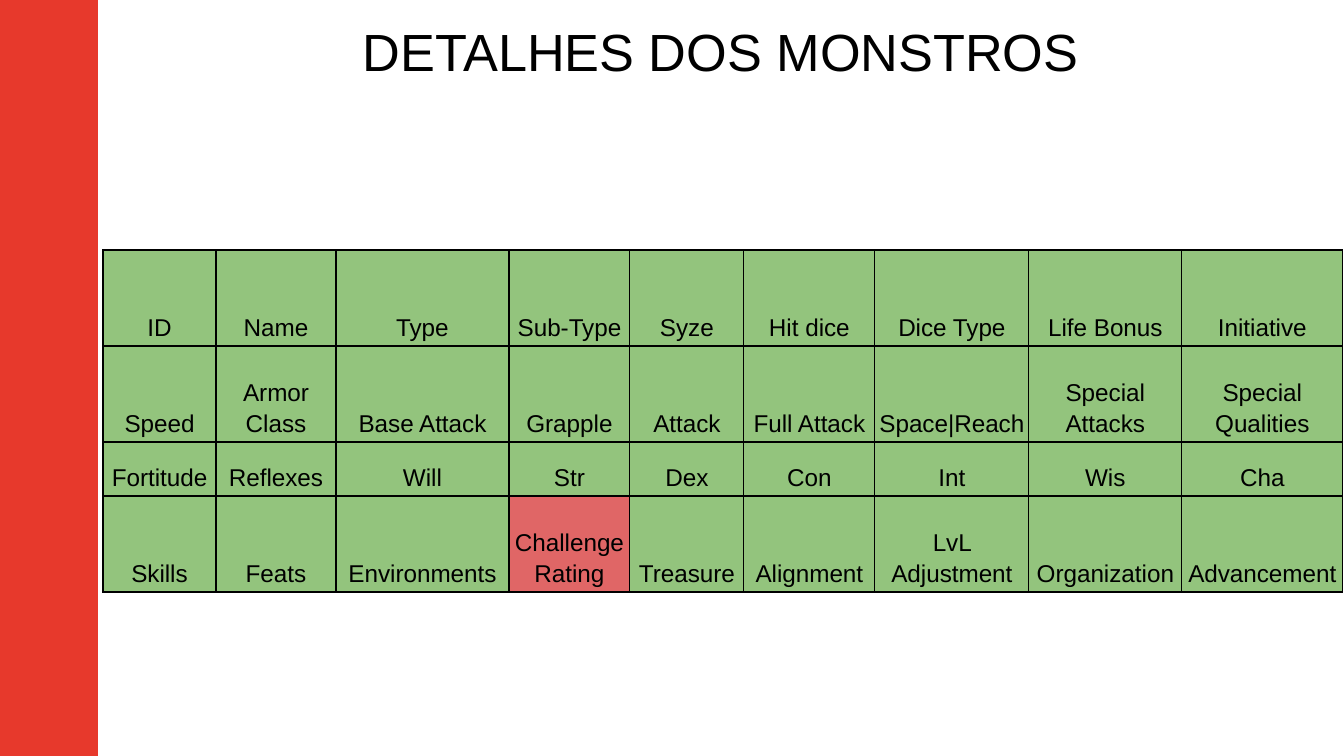
"""Build the slide that lists the monster detail fields."""
from lxml.etree import SubElement
from pptx import Presentation
from pptx.dml.color import RGBColor
from pptx.enum.shapes import MSO_SHAPE
from pptx.enum.text import MSO_ANCHOR, PP_ALIGN
from pptx.oxml.ns import qn
from pptx.util import Pt

SCALE = 914400 / 134.4
GREEN, RED = "93C47D", "E06666"
ROWS = [
    ["ID", "Name", "Type", "Sub-Type", "Syze", "Hit dice",
     "Dice Type", "Life Bonus", "Initiative"],
    ["Speed", "Armor Class", "Base Attack", "Grapple", "Attack", "Full Attack",
     "Space|Reach", "Special Attacks", "Special Qualities"],
    ["Fortitude", "Reflexes", "Will", "Str", "Dex", "Con", "Int", "Wis", "Cha"],
    ["Skills", "Feats", "Environments", "Challenge Rating", "Treasure",
     "Alignment", "LvL Adjustment", "Organization", "Advancement"],
]
WIDTHS = [113, 120, 173, 121, 114, 131, 154, 153, 161]
HEIGHTS = [96, 96, 54, 96]


def px(*nums):
    return [round(num * SCALE) for num in nums]


def paint(fill, color):
    fill.solid()
    fill.fore_color.rgb = RGBColor.from_string(color)


deck = Presentation()
deck.slide_width, deck.slide_height = px(1344, 756)
slide = deck.slides.add_slide(deck.slide_layouts[5])

bar = slide.shapes.add_shape(MSO_SHAPE.RECTANGLE, *px(0, 0, 98, 756))
bar.shadow.inherit = False
paint(bar.fill, "E7392C")
bar.line.fill.background()

title = slide.shapes.title
title.left, title.top, title.width, title.height = px(94, 0, 1253, 85)
frame = title.text_frame
frame.vertical_anchor = MSO_ANCHOR.TOP
frame.margin_left, frame.margin_top, frame.margin_right, frame.margin_bottom = px(13, 19, 13, 6)
para = frame.paragraphs[0]
para.alignment = PP_ALIGN.CENTER
run = para.add_run()
run.text = "DETALHES DOS MONSTROS"
run.font.size, run.font.name = Pt(28), "Arial"
paint(run.font.fill, "000000")

area = px(103, 250, sum(WIDTHS), sum(HEIGHTS))
table = slide.shapes.add_table(len(ROWS), len(WIDTHS), *area).table
table.first_row = table.horz_banding = False
for col, width in zip(table.columns, px(*WIDTHS)):
    col.width = width
for row, height in zip(table.rows, px(*HEIGHTS)):
    row.height = height

for row, words in zip(table.rows, ROWS):
    for cell, word in zip(row.cells, words):
        cell.margin_left, cell.margin_top, cell.margin_right, cell.margin_bottom = px(4, 4, 4, 4)
        cell.vertical_anchor = MSO_ANCHOR.BOTTOM
        para = cell.text_frame.paragraphs[0]
        para.alignment, para.line_spacing = PP_ALIGN.CENTER, 1.15
        run = para.add_run()
        run.text = word
        run.font.size, run.font.name = Pt(13), "Arial"
        paint(run.font.fill, "000000")
        props = cell._tc.get_or_add_tcPr()
        for side in ("a:lnL", "a:lnR", "a:lnT", "a:lnB"):
            edge = SubElement(props, qn(side), w=str(Pt(0.75)))
            ink = SubElement(edge, qn("a:solidFill"))
            SubElement(ink, qn("a:srgbClr"), val="000000")
        paint(cell.fill, RED if word == "Challenge Rating" else GREEN)

deck.save("out.pptx")
